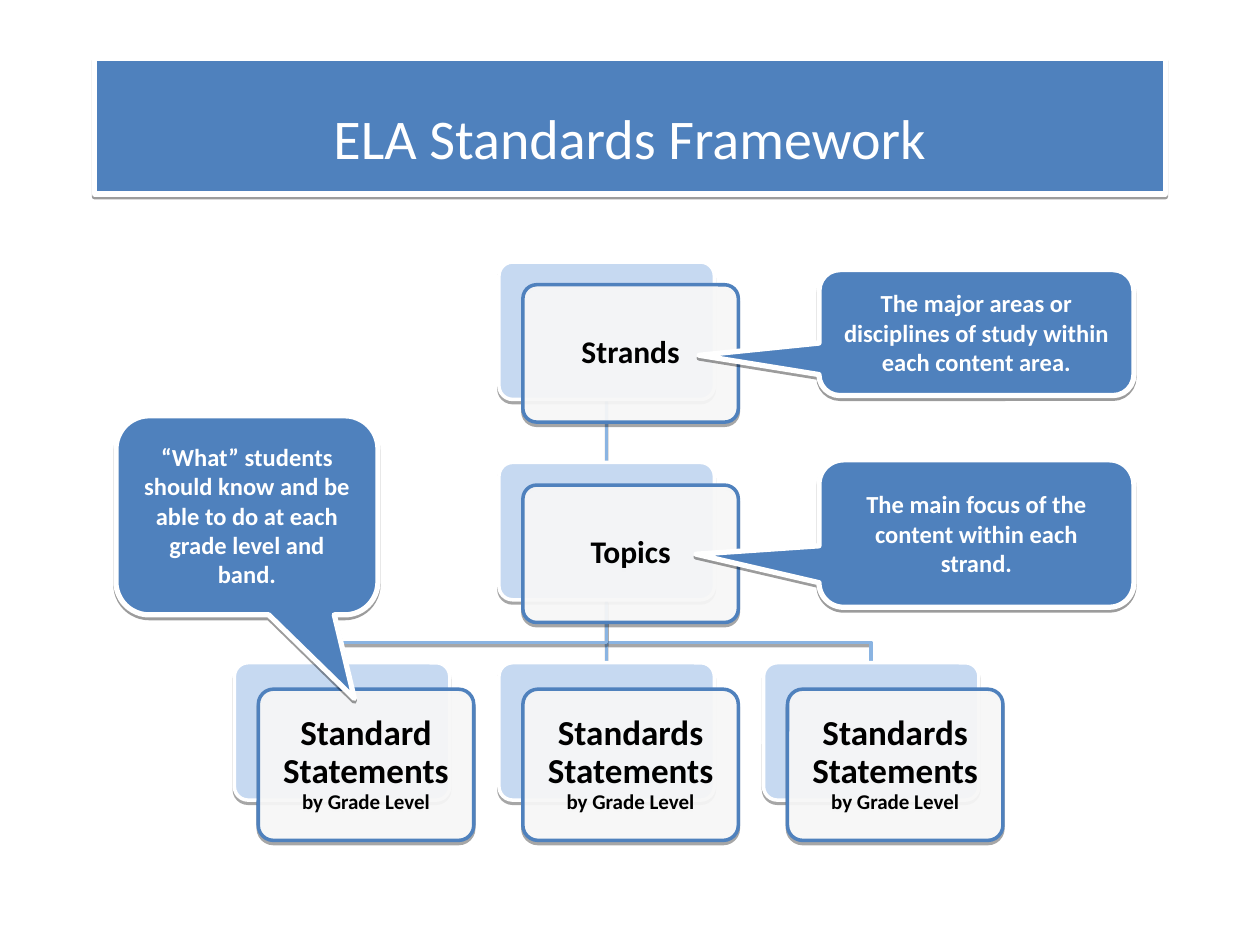
from dataclasses import dataclass

import pptx
import pptx.dml.color
import pptx.enum.shapes
import pptx.enum.text
import pptx.oxml
import pptx.oxml.ns
import pptx.util

Inches = pptx.util.Inches
Pt = pptx.util.Pt
Shapes = pptx.enum.shapes.MSO_SHAPE


@dataclass(frozen=True)
class Theme:
    font: str = "Calibri"
    blue: str = "4F81BD"
    pale: str = "C6D9F1"
    link: str = "8AB4E2"
    white: str = "FFFFFF"
    black: str = "000000"
    title_size: int = 32
    node_size: int = 18
    statement_size: int = 20
    detail_size: int = 12
    callout_size: int = 14


THEME = Theme()

# Tree grid, in inches
CARD_WIDTH, CARD_HEIGHT = 1.71, 1.09
CENTER_LEFT, COLUMN_STEP = 3.96, 2.1
FIRST_TOP, ROW_STEP = 2.08, 1.59
FRONT_SHIFT = 0.19
BRANCH_DROP = 0.34


def color(value):
    return pptx.dml.color.RGBColor.from_string(value)


def add_shadow(shape, distance, opacity):
    """Add a hard shadow straight below the shape; call it after the line is set."""
    properties = shape._element.spPr
    properties.append(pptx.oxml.parse_xml(
        f'<a:effectLst {pptx.oxml.ns.nsdecls("a")}>'
        f'<a:outerShdw dist="{Pt(distance)}" dir="5400000" algn="ctr" rotWithShape="0">'
        f'<a:srgbClr val="{THEME.black}"><a:alpha val="{opacity * 1000}"/></a:srgbClr>'
        '</a:outerShdw></a:effectLst>'))


def set_line(shape, line_color, width):
    shape.line.color.rgb = color(line_color)
    shape.line.width = Pt(width)


def add_box(slide, kind, box, fill, line_color, width, shadow):
    shape = slide.shapes.add_shape(kind, *map(Inches, box))
    shape.fill.solid()
    shape.fill.fore_color.rgb = color(fill)
    set_line(shape, line_color, width)
    add_shadow(shape, *shadow)
    return shape


def add_text(shape, runs, text_color, bold, insets=(0.1, 0.05)):
    """Write one centred paragraph from (text, size) pairs and return it."""
    frame = shape.text_frame
    frame.word_wrap = True
    frame.vertical_anchor = pptx.enum.text.MSO_ANCHOR.MIDDLE
    frame.margin_left = frame.margin_right = Inches(insets[0])
    frame.margin_top = frame.margin_bottom = Inches(insets[1])
    paragraph = frame.paragraphs[0]
    paragraph.alignment = pptx.enum.text.PP_ALIGN.CENTER
    paragraph.font.name = THEME.font
    paragraph.font.bold = bold
    paragraph.font.color.rgb = color(text_color)
    for text, size in runs:
        run = paragraph.add_run()
        run.text = text
        run.font.size = Pt(size)
    return paragraph


def add_title(slide, text):
    shape = add_box(slide, Shapes.RECTANGLE, (0.75, 0.46, 8.5, 1.08),
                    THEME.blue, THEME.white, 3, (1.6, 38))
    add_text(shape, [(text, THEME.title_size)], THEME.white, False)
    shape.text_frame.margin_top = Inches(0.23)


def add_card(slide, column, row, runs, drop=0.18, front_height=CARD_HEIGHT):
    """Add a pale back card with a translucent labelled card in front of it."""
    left = CENTER_LEFT + column * COLUMN_STEP
    top = FIRST_TOP + row * ROW_STEP
    back = add_box(slide, Shapes.ROUNDED_RECTANGLE, (left, top, CARD_WIDTH, CARD_HEIGHT),
                   THEME.pale, THEME.white, 2, (1.8, 35))
    front = add_box(slide, Shapes.ROUNDED_RECTANGLE,
                    (left + FRONT_SHIFT, top + drop, CARD_WIDTH, front_height),
                    THEME.white, THEME.blue, 2, (1.8, 35))
    back.adjustments[0] = front.adjustments[0] = 0.1
    fill_color = front._element.spPr.find(".//" + pptx.oxml.ns.qn("a:srgbClr"))
    fill_color.append(pptx.oxml.parse_xml(
        f'<a:alpha {pptx.oxml.ns.nsdecls("a")} val="90000"/>'))
    paragraph = add_text(front, runs, THEME.black, True, (0.08, 0.08))
    paragraph.line_spacing = 0.9
    paragraph.space_after = Pt(8)


def add_link(slide, row, column=0):
    """Join the centre card of a row to a card of the next row."""
    start = CENTER_LEFT + CARD_WIDTH / 2
    top = FIRST_TOP + row * ROW_STEP + CARD_HEIGHT
    bottom = FIRST_TOP + (row + 1) * ROW_STEP
    if column == 0:
        link = slide.shapes.add_connector(
            pptx.enum.shapes.MSO_CONNECTOR.STRAIGHT,
            Inches(start), Inches(top), Inches(start), Inches(bottom))
    else:
        end = start + column * COLUMN_STEP
        bend = top + BRANCH_DROP
        builder = slide.shapes.build_freeform(Inches(start), Inches(top))
        builder.add_line_segments(
            [(Inches(x), Inches(y)) for x, y in ((start, bend), (end, bend), (end, bottom))],
            close=False)
        link = builder.convert_to_shape()
        link.fill.background()
    set_line(link, THEME.link, 2)
    add_shadow(link, 1.8, 35)


def add_callout(slide, box, pointer, text):
    shape = add_box(slide, Shapes.ROUNDED_RECTANGULAR_CALLOUT, box,
                    THEME.blue, THEME.white, 3, (1.6, 38))
    shape.adjustments[0], shape.adjustments[1] = pointer
    add_text(shape, [(text, THEME.callout_size)], THEME.white, True)


def main():
    presentation = pptx.Presentation()
    presentation.slide_width = Inches(10)
    presentation.slide_height = Inches(7.5)
    slide = presentation.slides.add_slide(presentation.slide_layouts[6])

    for column in (1, 0, -1):
        add_link(slide, 1, column)
    add_link(slide, 0)

    for row, label in enumerate(("Strands", "Topics")):
        add_card(slide, 0, row, [(label, THEME.node_size)])
    statements = ("Standard Statements ", "Standards Statements ", "Standards Statements ")
    for column, label in enumerate(statements, start=-1):
        runs = [(label, THEME.statement_size), ("by Grade Level", THEME.detail_size)]
        add_card(slide, column, 2, runs, drop=0.21, front_height=1.2)

    add_callout(slide, (0.92, 3.3, 2.08, 1.58), (0.41, 0.92),
                "“What” students should know and be able to do at each grade level and band.")
    add_callout(slide, (6.5, 3.65, 2.5, 1.17), (-0.89, 0.14),
                "The main focus of the content within each strand.")
    add_callout(slide, (6.5, 2.14, 2.5, 1), (-0.88, 0.18),
                "The major areas or disciplines of study within each content area.")
    add_title(slide, "ELA Standards Framework")

    presentation.save("out.pptx")


if __name__ == "__main__":
    main()
